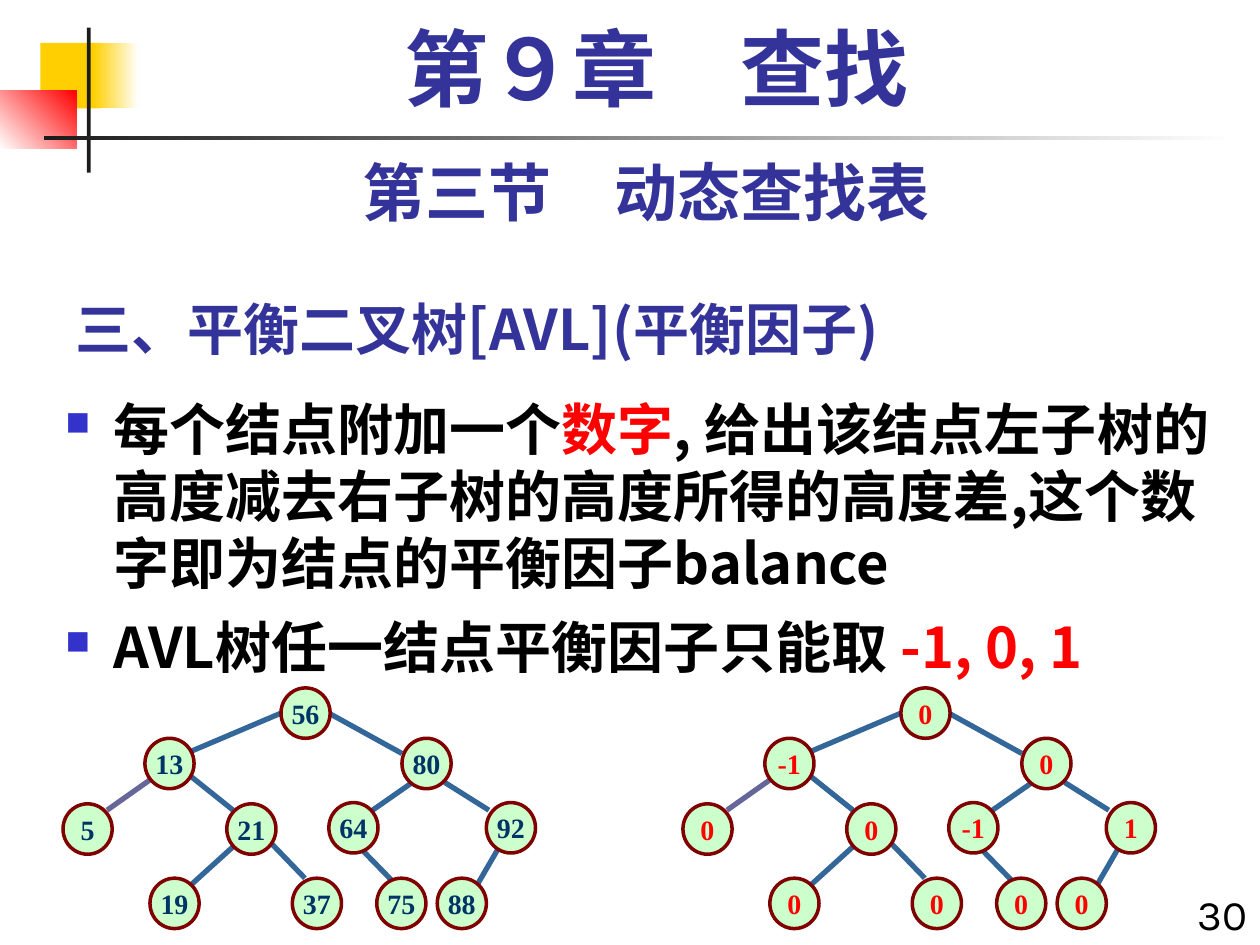
import pptx
import pptx.util
import pptx.dml.color
import pptx.enum.shapes
import pptx.enum.text
import pptx.oxml
import pptx.oxml.ns
import lxml.etree

Inches = pptx.util.Inches
Pt = pptx.util.Pt
RGBColor = pptx.dml.color.RGBColor
MSO_SHAPE = pptx.enum.shapes.MSO_SHAPE
PP_ALIGN = pptx.enum.text.PP_ALIGN
MSO_ANCHOR = pptx.enum.text.MSO_ANCHOR
qn = pptx.oxml.ns.qn

COLORS = {
    "white": "FFFFFF", "black": "000000", "red": "FF0000", "yellow": "FFCF01",
    "charcoal": "1C1C1C", "heading": "333399", "bullet": "3333CC",
    "node": "CCFFCC", "node_line": "800000", "key": "003366",
    "edge": "336699", "pale_edge": "666699",
}
CJK_FONT = "Noto Sans CJK SC"
SERIF_FONT = "Times New Roman"


def color(name):
    return RGBColor.from_string(COLORS[name])


def add_text(paragraph, text, size=32, font=CJK_FONT, fill="black", bold=True):
    run = paragraph.add_run()
    run.text = text
    run.font.size = Pt(size)
    run.font.name = font
    run.font.bold = bold
    run.font.color.rgb = color(fill)
    east_asian = lxml.etree.Element(qn("a:ea"), typeface=CJK_FONT)
    run.font._element.find(qn("a:latin")).addnext(east_asian)


presentation = pptx.Presentation()
presentation.slide_width = Inches(10)
presentation.slide_height = Inches(7.5)
slide = presentation.slides.add_slide(presentation.slide_layouts[6])

decorations = [
    (0.32, 0.34, 0.48, 0.52, ["yellow"], 0),
    (0.74, 0.34, 0.36, 0.52, ["yellow", "white"], 0),
    (0, 0.72, 0.61, 0.46, ["white", "red"], 45),
    (0.69, 0.22, 0.03, 1.15, ["charcoal"], 0),
    (0.35, 1.08, 9.45, 0.03, ["charcoal", "white"], 0),
]
for left, top, width, height, fills, angle in decorations:
    shape = slide.shapes.add_shape(
        MSO_SHAPE.RECTANGLE, Inches(left), Inches(top), Inches(width), Inches(height))
    shape.shadow.inherit = False
    shape.line.fill.background()
    if len(fills) == 1:
        shape.fill.solid()
        shape.fill.fore_color.rgb = color(fills[0])
    else:
        shape.fill.gradient()
        shape.fill.gradient_angle = angle
        for stop, name, position in zip(shape.fill.gradient_stops, fills, (0, 1)):
            stop.color.rgb = color(name)
            stop.position = position

text_boxes = [
    ("三、平衡二叉树[AVL](平衡因子)", (0.5, 2.17, 6.83, 0.75), PP_ALIGN.LEFT,
     MSO_ANCHOR.BOTTOM, 0, 1, dict(fill="heading")),
    ("30", (9.33, 7, 0.67, 0.5), PP_ALIGN.RIGHT,
     MSO_ANCHOR.TOP, 12, 1, dict(size=24, font="Karla", bold=False)),
    ("第三节　动态查找表", (0.5, 1.17, 9.25, 0.7), PP_ALIGN.CENTER,
     MSO_ANCHOR.TOP, 18, 1, dict(size=36, font="Karla", fill="heading")),
    ("第９章　查找", (0.67, 0.17, 9.08, 0.83), PP_ALIGN.CENTER,
     MSO_ANCHOR.TOP, 9.6, 0.9, dict(size=48, font=SERIF_FONT, fill="heading")),
]
for text, place, alignment, anchor, space_before, line_spacing, style in text_boxes:
    frame = slide.shapes.add_textbox(*map(Inches, place)).text_frame
    frame.word_wrap = True
    frame.vertical_anchor = anchor
    paragraph = frame.paragraphs[0]
    paragraph.alignment = alignment
    paragraph.space_before = Pt(space_before)
    paragraph.line_spacing = line_spacing
    add_text(paragraph, text, **style)

bullets = [
    [("每个结点附加一个", "black"), ("数字", "red"),
     (", 给出该结点左子树的高度减去右子树的高度所得的高度差,"
      "这个数字即为结点的平衡因子balance", "black")],
    [("AVL树任一结点平衡因子只能取 ", "black"), ("-1, 0, 1", "red")],
]
body = slide.shapes.add_textbox(Inches(0.42), Inches(3.08), Inches(9.58), Inches(4.42)).text_frame
body.word_wrap = True
for index, runs in enumerate(bullets):
    paragraph = body.add_paragraph() if index else body.paragraphs[0]
    paragraph.space_before = Pt(9.6)
    properties = paragraph._p.get_or_add_pPr()
    properties.set("marL", str(Inches(0.38)))
    properties.set("indent", str(Inches(-0.38)))
    bullet_color = lxml.etree.SubElement(properties, qn("a:buClr"))
    lxml.etree.SubElement(bullet_color, qn("a:srgbClr"), val=COLORS["bullet"])
    lxml.etree.SubElement(properties, qn("a:buSzPct"), val="60000")
    lxml.etree.SubElement(properties, qn("a:buChar"), char="■")
    for text, fill in runs:
        add_text(paragraph, text, fill=fill)

edges = [
    (2.23, 5.66, 1.5, 5.97, "edge"), (1.19, 6.19, 0.85, 6.43, "pale_edge"),
    (2.61, 5.66, 3.19, 5.98, "edge"), (1.5, 6.15, 1.85, 6.43, "edge"),
    (1.85, 6.72, 1.42, 7.11, "edge"), (3.53, 6.21, 3.88, 6.43, "edge"),
    (3.33, 6.17, 2.9, 6.47, "edge"), (2.8, 6.67, 3.19, 7.07, "edge"),
    (4.05, 6.57, 3.76, 7.07, "edge"), (2.13, 6.67, 2.42, 6.97, "edge"),
]
nodes = [
    (2.23, 5.46, "56", "0"), (1.15, 5.86, "13", "-1"), (3.19, 5.86, "80", "0"),
    (0.5, 6.38, "5", "0"), (1.8, 6.38, "21", "0"), (2.61, 6.37, "64", "-1"),
    (3.86, 6.37, "92", "1"), (1.19, 6.97, "19", "0"), (2.32, 6.97, "37", "0"),
    (2.99, 6.97, "75", "0"), (3.47, 6.97, "88", "0"),
]
for tree, (offset, label_color) in enumerate([(0, "key"), (4.92, "red")]):
    group = slide.shapes.add_group_shape()
    for start_x, start_y, end_x, end_y, line_color in edges:
        edge = group.shapes.add_connector(
            pptx.enum.shapes.MSO_CONNECTOR.STRAIGHT,
            Inches(start_x + offset), Inches(start_y), Inches(end_x + offset), Inches(end_y))
        edge.line.color.rgb = color(line_color)
        edge.line.width = Pt(3)
        lxml.etree.SubElement(edge._element.spPr, qn("a:effectLst"))
    for left, top, *labels in nodes:
        node = group.shapes.add_shape(
            MSO_SHAPE.OVAL, Inches(left + offset), Inches(top), Inches(0.39), Inches(0.4))
        node.shadow.inherit = False
        node.fill.solid()
        node.fill.fore_color.rgb = color("node")
        node.line.color.rgb = color("node_line")
        node.line.width = Pt(2)
        node.text_frame.word_wrap = False
        node.text_frame.vertical_anchor = MSO_ANCHOR.MIDDLE
        paragraph = node.text_frame.paragraphs[0]
        paragraph.alignment = PP_ALIGN.CENTER
        add_text(paragraph, labels[tree], size=16, font=SERIF_FONT, fill=label_color)

presentation.save("out.pptx")
